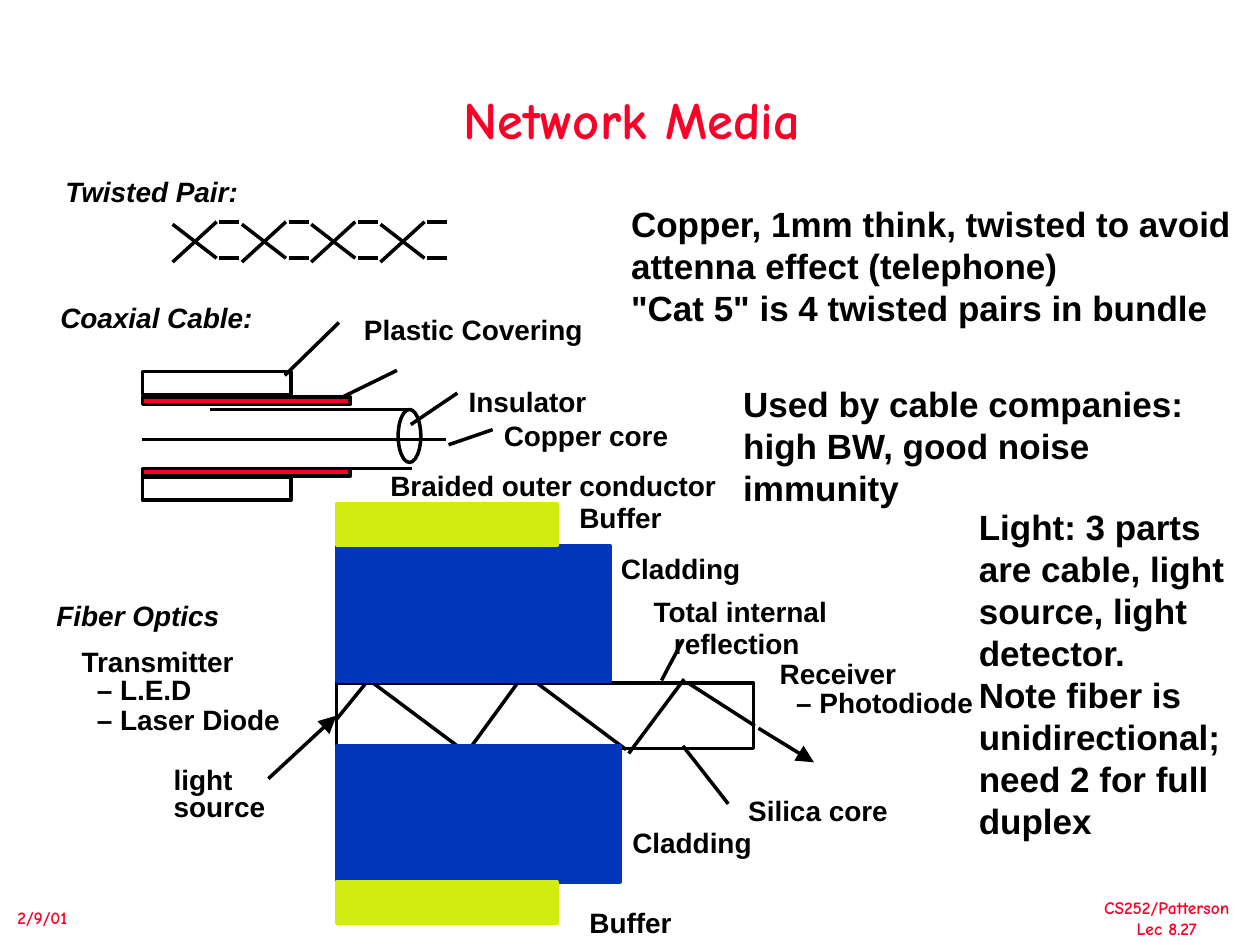
from dataclasses import dataclass

from lxml.etree import SubElement
from pptx import Presentation
from pptx.dml.color import RGBColor as RGB
from pptx.enum.shapes import MSO_CONNECTOR as CONNECTOR, MSO_SHAPE as SHAPE
from pptx.enum.text import MSO_ANCHOR as ANCHOR, MSO_AUTO_SIZE as AUTO, PP_ALIGN as ALIGN
from pptx.oxml.ns import qn
from pptx.util import Inches, Pt


@dataclass(frozen=True)
class Theme:
    ink: RGB = RGB(0x00, 0x00, 0x00)
    red: RGB = RGB(0xFC, 0x01, 0x28)
    blue: RGB = RGB(0x02, 0x37, 0xBC)
    lime: RGB = RGB(0xD2, 0xEC, 0x12)
    body: str = "Arial"
    display: str = "Comic Neue"
    title_size: Pt = Pt(30)
    note_size: Pt = Pt(20)
    label_size: Pt = Pt(16)
    footer_size: Pt = Pt(10)
    stroke: Pt = Pt(2)


theme = Theme()
label = {"name": theme.body, "size": theme.label_size, "bold": True}
heading = {**label, "italic": True}
note = {**label, "size": theme.note_size}
footer = {"name": theme.display, "size": theme.footer_size, "bold": True}
title_font = {**footer, "size": theme.title_size}

deck = Presentation()
deck.slide_width, deck.slide_height = Inches(10), Inches(7.5)
slide = deck.slides.add_slide(deck.slide_layouts[5])
shapes = slide.shapes


def add_line(x1, y1, x2, y2, arrow=False):
    line = shapes.add_connector(CONNECTOR.STRAIGHT, *map(Inches, (x1, y1, x2, y2)))
    line.line.color.rgb = theme.ink
    line.line.width = theme.stroke
    if arrow:
        SubElement(line.line._get_or_add_ln(), qn("a:tailEnd"), type="triangle", w="lg", len="lg")
    SubElement(line._element.spPr, qn("a:effectLst"))
    return line


def add_part(left, top, width, height, fill=None, outline=theme.ink, kind=SHAPE.RECTANGLE):
    part = shapes.add_shape(kind, *map(Inches, (left, top, width, height)))
    part.shadow.inherit = False
    if fill is None:
        part.fill.background()
    else:
        part.fill.solid()
        part.fill.fore_color.rgb = fill
    part.line.color.rgb = outline
    part.line.width = theme.stroke
    return part


# Twisted pair: four crossings, each followed by two parallel dashes
for twist in range(4):
    x = 1.37 + 0.55 * twist
    add_line(x, 1.78, x + 0.35, 2.05)
    add_line(x, 2.08, x + 0.35, 1.76)
    for y in (1.76, 2.05):
        add_line(x + 0.37, y, x + 0.53, y)

# Coaxial cable: core, insulator, braid and covering
add_line(1.13, 3.49, 3.54, 3.49)
add_part(3.16, 3.25, 0.18, 0.42, kind=SHAPE.OVAL)
for insulator_y, braid_y, covering_y in ((3.25, 3.15, 2.95), (3.72, 3.72, 3.79)):
    add_line(3.27, insulator_y, 1.67, insulator_y)
    add_part(1.13, braid_y, 1.65, 0.06, theme.red)
    add_part(1.13, covering_y, 1.18, 0.18)

# Leaders from the cable to its labels
for leader in (
    (3.56, 3.53, 3.91, 3.41),
    (3.26, 3.37, 3.63, 3.12),
    (2.7, 3.16, 3.15, 2.94),
    (2.26, 2.98, 2.69, 2.56),
):
    add_line(*leader)

# Fiber: silica core with the reflected light ray
core = add_part(2.67, 5.42, 3.31, 0.52)
for ray in (
    (2.67, 5.71, 2.93, 5.39),
    (2.96, 5.42, 3.67, 5.95),
    (3.7, 5.98, 4.13, 5.39),
    (4.26, 5.42, 4.97, 5.95),
    (4.99, 5.98, 5.43, 5.39),
    (5.46, 5.42, 5.99, 5.76),
):
    add_line(*ray)
add_line(2.13, 6.18, 2.67, 5.68, arrow=True).end_connect(core, 1)
add_line(6.02, 5.78, 6.46, 6.05, arrow=True)
add_line(5.42, 5.92, 5.78, 6.38)
add_line(5.25, 5.4, 5.42, 5.08)

# Fiber: cladding and buffer around the core
for top, width, height, color in (
    (4.33, 2.17, 1.08, theme.blue),
    (5.92, 2.25, 1.08, theme.blue),
    (7, 1.75, 0.33, theme.lime),
    (4, 1.75, 0.33, theme.lime),
):
    add_part(2.67, top, width, height, color, color)

# Text: left, top, width, height, font, paragraphs
texts = [
    (1.1, 0.35, 7.83, 1.25, title_font, ["Network Media"]),
    (8.61, 7.07, 1.3, 0.43, footer, ["CS252/Patterson", "Lec 8.27"]),
    (0.04, 7.15, 0.8, 0.27, footer, ["2/9/01"]),
    (4.91, 1.56, 5.08, 1.1, note, [
        "Copper, 1mm think, twisted to avoid",
        "attenna effect (telephone)",
        '"Cat 5" is 4 twisted pairs in bundle',
    ]),
    (5.8, 2.99, 3.81, 1.1, note, ["Used by cable companies: high BW, good noise immunity"]),
    (7.67, 3.96, 2.16, 2.76, note, [
        "Light: 3 parts are cable, light source, light detector.",
        "Note fiber is unidirectional; need 2 for full duplex",
    ]),
]
label_slack = 0.15  # keeps every label on one line
texts += [
    (left, top, width + label_slack, 0.36, font, [words])
    for left, top, width, font, words in (
        (0.42, 1.34, 1.58, heading, "Twisted Pair:"),
        (0.38, 2.34, 1.73, heading, "Coaxial Cable:"),
        (0.35, 4.7, 1.49, heading, "Fiber Optics"),
        (2.79, 2.43, 1.94, label, "Plastic Covering"),
        (3.62, 3, 1.13, label, "Insulator"),
        (3.9, 3.27, 1.5, label, "Copper core"),
        (3, 3.67, 2.78, label, "Braided outer conductor"),
        (0.55, 5.07, 1.42, label, "Transmitter"),
        (0.67, 5.29, 0.95, label, "– L.E.D"),
        (0.67, 5.53, 1.65, label, "– Laser Diode"),
        (6.09, 5.16, 1.12, label, "Receiver"),
        (6.22, 5.39, 1.6, label, "– Photodiode"),
        (1.28, 6, 0.67, label, "light"),
        (1.28, 6.22, 0.93, label, "source"),
        (5.84, 6.25, 1.31, label, "Silica core"),
        (5.09, 4.67, 1.59, label, "Total internal"),
        (5.25, 4.92, 1.2, label, "reflection"),
        (4.83, 4.33, 1.15, label, "Cladding"),
        (4.92, 6.5, 1.15, label, "Cladding"),
        (4.5, 3.92, 0.85, label, "Buffer"),
        (4.58, 7.14, 0.85, label, "Buffer"),
    )
]
for left, top, width, height, font, paragraphs in texts:
    is_title = font is title_font
    box = shapes.title if is_title else shapes.add_textbox(0, 0, 0, 0)
    for side, length in {"left": left, "top": top, "width": width, "height": height}.items():
        setattr(box, side, Inches(length))
    frame = box.text_frame
    frame.text = "\n".join(paragraphs)
    frame.word_wrap = True
    frame.auto_size = AUTO.NONE
    frame.vertical_anchor = ANCHOR.MIDDLE if is_title else ANCHOR.TOP
    centered = is_title or len(paragraphs) == 2 and font is footer
    for paragraph in frame.paragraphs:
        paragraph.alignment = ALIGN.CENTER if centered else ALIGN.LEFT
        paragraph.line_spacing = 0.9 if is_title else 1.0
        for run in paragraph.runs:
            run.font.color.rgb = theme.red if font["name"] == theme.display else theme.ink
            for attribute, value in font.items():
                setattr(run.font, attribute, value)

deck.save("out.pptx")
